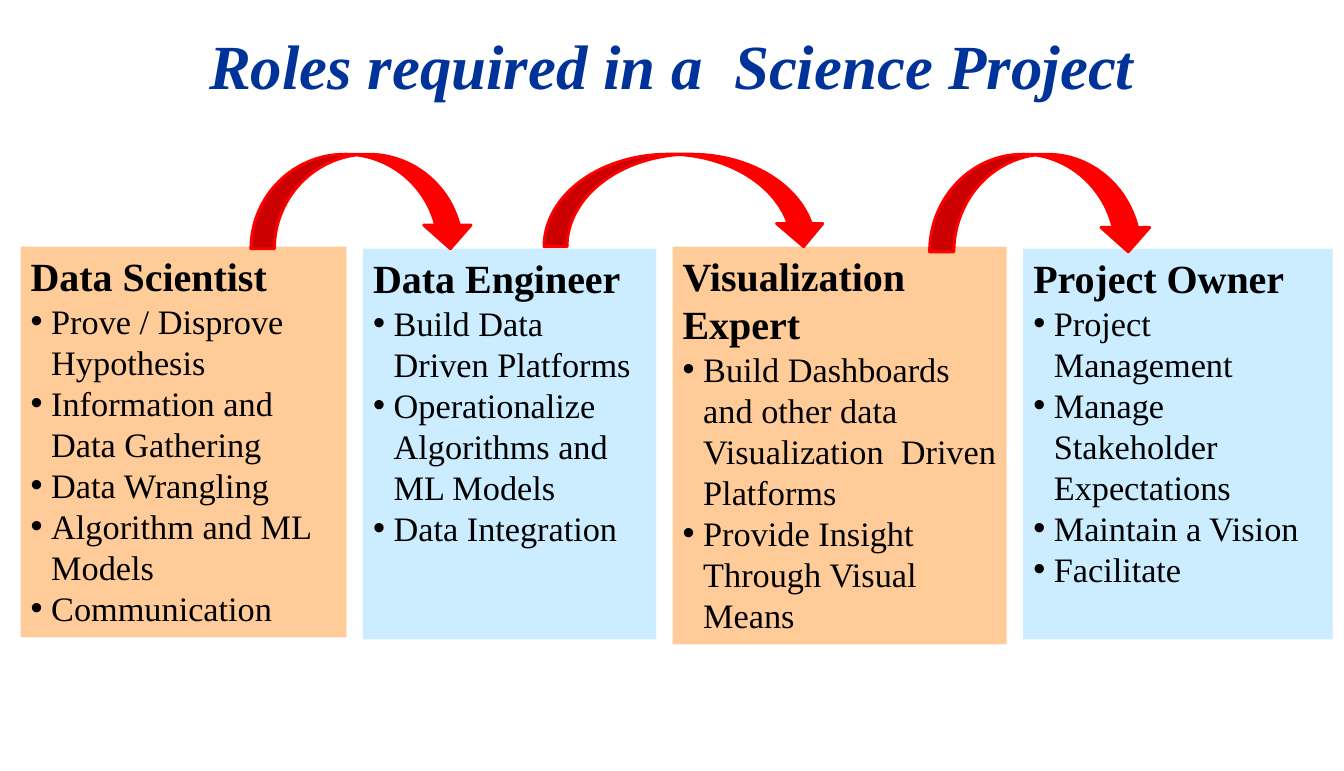
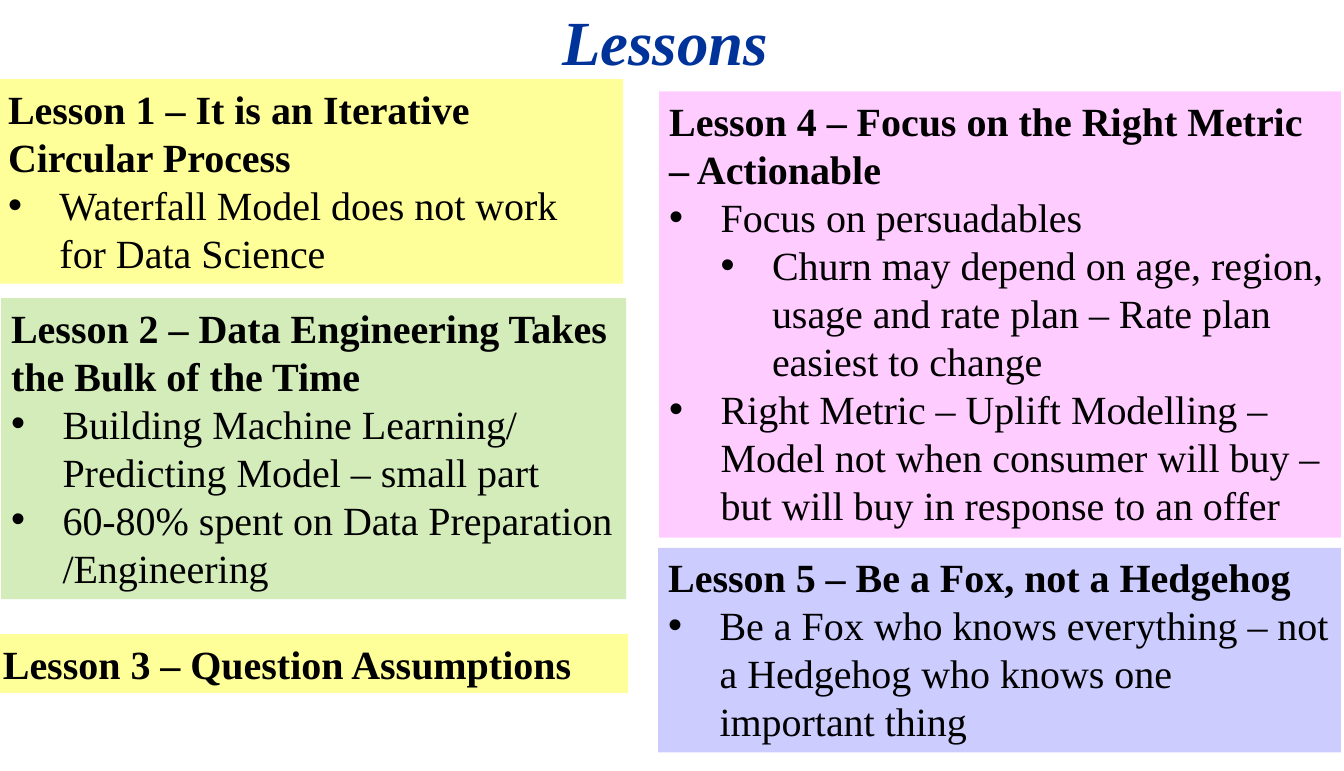
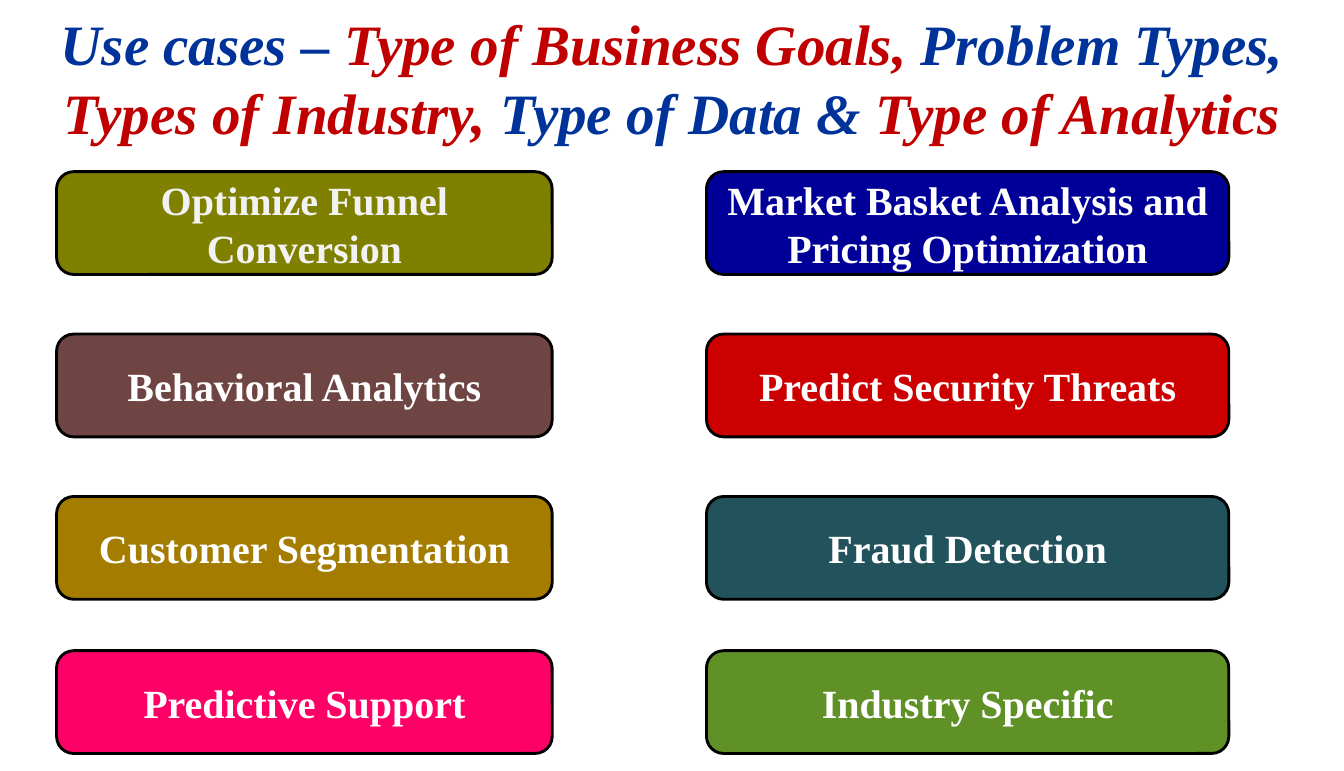
"""Build three slides on data science roles, lessons and use cases."""
from itertools import product
from typing import NamedTuple

from lxml.etree import SubElement
from pptx import Presentation
from pptx.dml.color import RGBColor
from pptx.enum.shapes import MSO_SHAPE as Preset
from pptx.enum.text import MSO_ANCHOR as Anchor, MSO_AUTO_SIZE as AutoSize, PP_ALIGN as Align
from pptx.oxml.ns import qn
from pptx.util import Pt

PX = 9144
PAGE_WIDTH, PAGE_HEIGHT = 1307, 750
FONT = "Times New Roman"
COLORS = {
    "white": "FFFFFF", "pale": "F2F2F2", "black": "000000",
    "navy": "003399", "crimson": "C00000", "arrow": "FF0000",
    "peach": "FFCC99", "sky": "CCECFF",
    "yellow": "FFFF99", "green": "D4ECBA", "pink": "FFCCFF", "lilac": "CCCCFF",
    "olive": "808000", "brown": "6E4542", "gold": "A47D00", "magenta": "FF0066",
    "blue": "000099", "red": "CC0000", "teal": "22525C", "leaf": "5F9127",
}


class Area(NamedTuple):
    """Position and size in px."""
    left: int
    top: int
    width: int
    height: int

    def emu(self) -> list[int]:
        """Return the four lengths in EMU."""
        return [length * PX for length in self]


class Span(NamedTuple):
    """A piece of title text and its colour."""
    text: str
    color: str = "navy"


class Bullet(NamedTuple):
    """A list entry and its level."""
    text: str
    level: int = 0


class Panel(NamedTuple):
    """A filled box with a heading and a list."""
    area: Area
    color: str
    heading: str
    bullets: list[Bullet]


class Role(NamedTuple):
    """A project role, its box size and its duties."""
    width: int
    height: int
    name: str
    duties: list[str]


class Button(NamedTuple):
    """A use case label with its fill and text colours."""
    text: str
    color: str
    ink: str = "white"


ROLES = [
    Role(317, 380, "Data Scientist", [
        "Prove / Disprove Hypothesis", "Information and Data Gathering",
        "Data Wrangling", "Algorithm and ML Models", "Communication"]),
    Role(285, 380, "Data Engineer", [
        "Build Data Driven Platforms", "Operationalize Algorithms and ML Models",
        "Data Integration"]),
    Role(325, 387, "Visualization Expert", [
        "Build Dashboards and other data Visualization  Driven Platforms",
        "Provide Insight Through Visual Means"]),
    Role(301, 380, "Project Owner", [
        "Project Management", "Manage Stakeholder Expectations",
        "Maintain a Vision", "Facilitate"]),
]
ROLE_LEFT, ROLE_GAP = 20, 16
ROLE_STYLES = [("peach", 240), ("sky", 242)]
ARROWS = [Area(244, 150, 217, 92), Area(529, 150, 275, 90), Area(904, 150, 217, 95)]

LESSONS = [
    Panel(Area(-2, 77, 608, 199), "yellow", "Lesson 1 – It is an Iterative Circular Process",
          [Bullet("Waterfall Model does not work for Data Science")]),
    Panel(Area(1, 290, 608, 293), "green",
          "Lesson 2 – Data Engineering Takes the Bulk of the Time",
          [Bullet("Building Machine Learning/ Predicting Model – small part"),
           Bullet("60-80% spent on Data Preparation /Engineering")]),
    Panel(Area(-7, 617, 618, 57), "yellow", "Lesson 3 – Question Assumptions", []),
    Panel(Area(641, 89, 663, 434), "pink",
          "Lesson 4 – Focus on the Right Metric – Actionable",
          [Bullet("Focus on persuadables"),
           Bullet("Churn may depend on age, region, usage and rate plan – "
                  "Rate plan easiest to change", 1),
           Bullet("Right Metric – Uplift Modelling – Model not when consumer will buy – "
                  "but will buy in response to an offer")]),
    Panel(Area(640, 533, 664, 199), "lilac", "Lesson 5 – Be a Fox, not a Hedgehog",
          [Bullet("Be a Fox who knows everything – not a Hedgehog "
                  "who knows one important thing")]),
]

BUTTON_COLUMNS = [(55, 482), (687, 508)]
BUTTON_TOPS = [167, 325, 483, 633]
BUTTON_HEIGHT = 100
BUTTONS = [
    Button("Optimize Funnel Conversion", "olive", "pale"),
    Button("Behavioral Analytics", "brown"),
    Button("Customer Segmentation", "gold"),
    Button("Predictive Support", "magenta"),
    Button("Market Basket Analysis and Pricing Optimization", "blue"),
    Button("Predict Security Threats", "red"),
    Button("Fraud Detection", "teal"),
    Button("Industry Specific", "leaf"),
]
USE_CASE_TITLE = [
    Span("Use cases – "), Span("Type of Business Goals, ", "crimson"),
    Span("Problem Types, "), Span("Types of Industry, ", "crimson"),
    Span("Type of Data & "), Span("Type of Analytics", "crimson"),
]


def rgb(name: str) -> RGBColor:
    """Look up a named colour."""
    return RGBColor.from_string(COLORS[name])


def paint(shape, color: str) -> None:
    """Give a shape a solid fill."""
    shape.fill.solid()
    shape.fill.fore_color.rgb = rgb(color)


def add_span(para, text: str, size: int, color: str = "black",
             bold: bool = False, italic: bool = False) -> None:
    """Append one formatted run to a paragraph."""
    span = para.add_run()
    span.text = text
    font = span.font
    font.name, font.size, font.bold, font.italic = FONT, Pt(size), bold, italic
    font.color.rgb = rgb(color)


def add_page(deck, area: Area, spans: list[Span], size: int = 44):
    """Add a slide with the shared title style."""
    page = deck.slides.add_slide(deck.slide_layouts[5])
    title = page.shapes.title
    title.left, title.top, title.width, title.height = area.emu()
    paint(title, "white")
    frame = title.text_frame
    frame.auto_size = AutoSize.NONE
    frame.vertical_anchor = Anchor.MIDDLE
    para = frame.paragraphs[0]
    para.alignment = Align.CENTER
    for text, color in spans:
        add_span(para, text, size, color, bold=True, italic=True)
    return page


def add_bullet(frame, bullet: Bullet, size: int, indent: int) -> None:
    """Append a bulleted paragraph with a hanging indent."""
    para = frame.add_paragraph()
    para.level = bullet.level
    props = para._p.get_or_add_pPr()
    props.set("marL", str((bullet.level + 1) * indent * PX))
    props.set("indent", str(-indent * PX))
    SubElement(props, qn("a:buFont")).set("typeface", "Arial")
    SubElement(props, qn("a:buChar")).set("char", "•")
    add_span(para, bullet.text, size)


def add_panel(page, panel: Panel, size: int = 28, indent: int = 50) -> None:
    """Draw a filled text box with a heading and bullets."""
    box = page.shapes.add_textbox(*panel.area.emu())
    paint(box, panel.color)
    frame = box.text_frame
    frame.word_wrap = True
    frame.auto_size = AutoSize.SHAPE_TO_FIT_TEXT
    add_span(frame.paragraphs[0], panel.heading, 28, bold=True)
    for bullet in panel.bullets:
        add_bullet(frame, bullet, size, indent)


def add_outlined(page, preset: Preset, area: Area, color: str, line: str):
    """Draw a filled preset shape with a 2 pt outline."""
    shape = page.shapes.add_shape(preset, *area.emu())
    shape.shadow.inherit = False
    paint(shape, color)
    shape.line.color.rgb = rgb(line)
    shape.line.width = Pt(2)
    return shape


def add_button(page, button: Button, area: Area) -> None:
    """Draw a rounded box with a centred label."""
    box = add_outlined(page, Preset.ROUNDED_RECTANGLE, area, button.color, "black")
    frame = box.text_frame
    frame.word_wrap = True
    frame.vertical_anchor = Anchor.MIDDLE
    para = frame.paragraphs[0]
    para.alignment = Align.CENTER
    add_span(para, button.text, 28, button.ink, bold=True)


def build_roles(deck) -> None:
    """Build the slide of project roles."""
    page = add_page(deck, Area(0, 0, PAGE_WIDTH, 125),
                    [Span("Roles required in a  Science Project")])
    left = ROLE_LEFT
    for index, role in enumerate(ROLES):
        color, top = ROLE_STYLES[index % 2]
        area = Area(left, top, role.width, role.height)
        bullets = [Bullet(duty) for duty in role.duties]
        add_panel(page, Panel(area, color, role.name, bullets), size=24, indent=20)
        left += role.width + ROLE_GAP
    for area in ARROWS:
        add_outlined(page, Preset.CURVED_DOWN_ARROW, area, "arrow", "arrow")


def build_lessons(deck) -> None:
    """Build the slide of lessons."""
    page = add_page(deck, Area(-13, 2, 1320, 75), [Span("Lessons")])
    for lesson in LESSONS:
        add_panel(page, lesson)


def build_use_cases(deck) -> None:
    """Build the slide of use cases."""
    page = add_page(deck, Area(0, 0, PAGE_WIDTH, 150), USE_CASE_TITLE, size=40)
    cells = product(BUTTON_COLUMNS, BUTTON_TOPS)
    for button, ((left, width), top) in zip(BUTTONS, cells):
        add_button(page, button, Area(left, top, width, BUTTON_HEIGHT))


def main() -> None:
    """Build and save the deck."""
    deck = Presentation()
    deck.slide_width, deck.slide_height = PAGE_WIDTH * PX, PAGE_HEIGHT * PX
    build_roles(deck)
    build_lessons(deck)
    build_use_cases(deck)
    deck.save("out.pptx")


if __name__ == "__main__":
    main()
